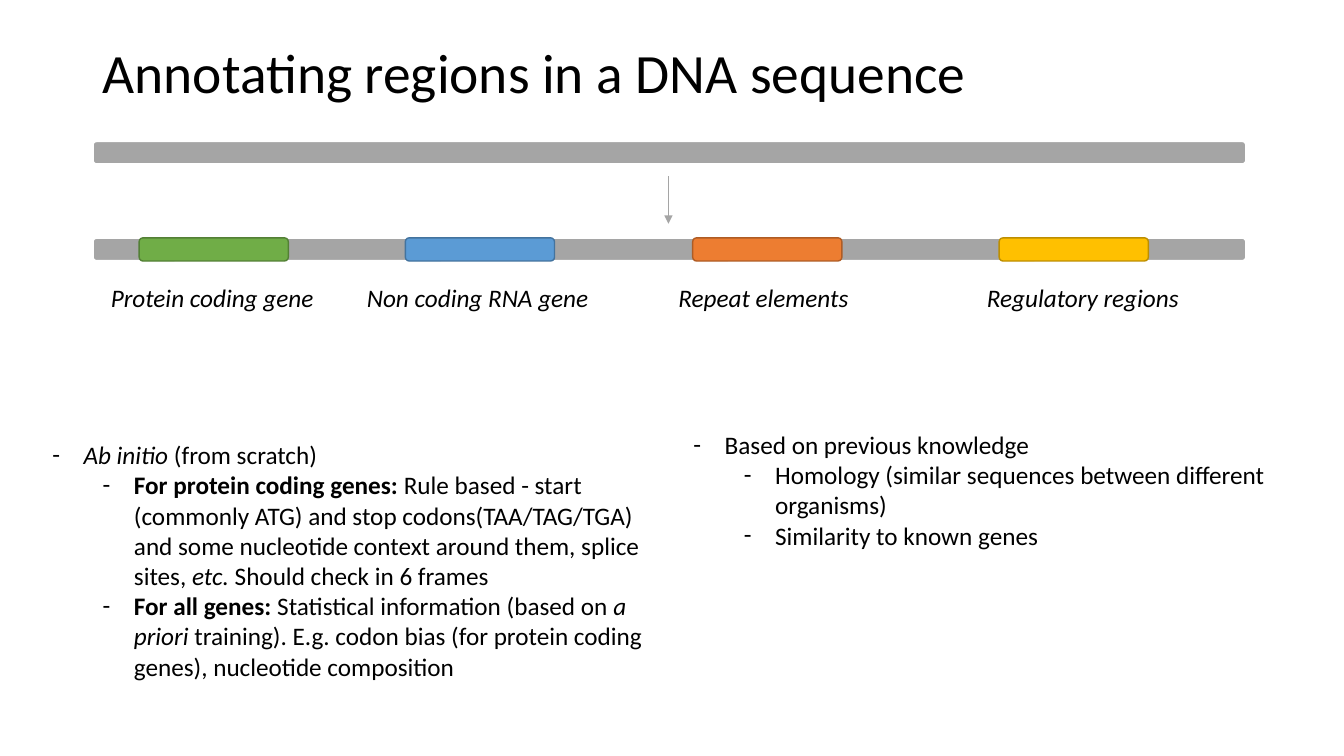
"""Build a slide on annotating regions in a DNA sequence."""
import pptx
import pptx.dml.color
import pptx.enum.shapes
import pptx.enum.text
import pptx.oxml.ns
import pptx.util
from pptx.util import Inches

THEME = {
    "font": "Calibri", "title_size": 39.6, "text_size": 18,
    "text": "000000", "strand": "A5A5A5", "edge": "FFFFFF",
}

TITLE = "Annotating regions in a DNA sequence"
REGIONS = [
    ("Protein coding gene", 1.38, "70AD47", "538035", 1.00, 2.25),
    ("Non coding RNA gene", 4.02, "5B9BD5", "43739E", 3.54, 2.43),
    ("Repeat elements", 6.87, "ED7D31", "AF5C24", 6.63, 1.93),
    ("Regulatory regions", 9.91, "FFC000", "BD8E00", 9.69, 2.12),
]
AB_INITIO = [
    (0, [("Ab initio ", "i"), ("(from scratch)", "")]),
    (1, [("For protein coding genes:", "b"),
         (" Rule based - start (commonly ATG) and stop codons(TAA/TAG/TGA) "
          "and some nucleotide context around them, splice sites, ", ""),
         ("etc. ", "i"), ("Should check in 6 frames", "")]),
    (1, [("For all genes: ", "b"), ("Statistical information (based on ", ""),
         ("a priori ", "i"),
         ("training). E.g. codon bias (for protein coding genes), "
          "nucleotide composition", "")]),
]
KNOWLEDGE = [
    (0, [("Based on previous knowledge", "")]),
    (1, [("Homology (similar sequences between different organisms)", "")]),
    (1, [("Similarity to known genes", "")]),
]

STRAND_LEFT, STRAND_WIDTH, BAR_HEIGHT = 0.92, 11.44, 0.23
PLAIN_TOP, ANNOTATED_TOP, LABEL_TOP = 1.4, 2.36, 2.75
REGION_WIDTH = 1.48
ARROW_X, ARROW_TOP, ARROW_BOTTOM = 6.63, 1.75, 2.22
HANG, LEVEL_STEP = 0.31, 0.5


def color(name):
    return pptx.dml.color.RGBColor.from_string(name)


def add_dash(para, level):
    para.level = level
    properties = para._p.get_or_add_pPr()
    properties.set("marL", str(Inches(HANG + LEVEL_STEP * level)))
    properties.set("indent", str(-Inches(HANG)))
    for tag, key, value in (("a:buFont", "typeface", THEME["font"]),
                            ("a:buChar", "char", "-")):
        element = pptx.oxml.parse_xml(f'<{tag} {pptx.oxml.ns.nsdecls("a")}/>')
        element.set(key, value)
        properties.append(element)


def add_text(page, paragraphs, left, top, width, height, size=THEME["text_size"],
             wrap=True, bullets=False, spacing=None,
             anchor=pptx.enum.text.MSO_ANCHOR.TOP):
    box = page.shapes.add_textbox(*map(Inches, (left, top, width, height)))
    frame = box.text_frame
    frame.word_wrap = wrap
    frame.vertical_anchor = anchor
    for index, (level, spans) in enumerate(paragraphs):
        para = frame.paragraphs[0] if index == 0 else frame.add_paragraph()
        if bullets:
            add_dash(para, level)
        if spacing:
            para.line_spacing = spacing
        for text, style in spans:
            span = para.add_run()
            span.text = text
            span.font.name = THEME["font"]
            span.font.size = pptx.util.Pt(size)
            span.font.color.rgb = color(THEME["text"])
            span.font.bold = style == "b"
            span.font.italic = style == "i"


def add_bar(page, left, top, width, fill, edge, weight):
    bar = page.shapes.add_shape(
        pptx.enum.shapes.MSO_SHAPE.ROUNDED_RECTANGLE,
        *map(Inches, (left, top, width, BAR_HEIGHT)))
    bar.shadow.inherit = False
    bar.fill.solid()
    bar.fill.fore_color.rgb = color(fill)
    bar.line.color.rgb = color(edge)
    bar.line.width = pptx.util.Pt(weight)


def add_arrow(page):
    arrow = page.shapes.add_connector(
        pptx.enum.shapes.MSO_CONNECTOR.STRAIGHT,
        *map(Inches, (ARROW_X, ARROW_TOP, ARROW_X, ARROW_BOTTOM)))
    arrow.line.color.rgb = color(THEME["strand"])
    arrow.line.width = pptx.util.Pt(0.5)
    namespace = pptx.oxml.ns.nsdecls("a")
    arrow.line._get_or_add_ln().append(
        pptx.oxml.parse_xml(f'<a:tailEnd {namespace} type="triangle"/>'))
    arrow._element.spPr.append(pptx.oxml.parse_xml(f"<a:effectLst {namespace}/>"))


def main():
    deck = pptx.Presentation()
    deck.slide_width, deck.slide_height = Inches(13.33), Inches(7.5)
    page = deck.slides.add_slide(deck.slide_layouts[6])

    add_text(page, [(0, [(TITLE, "")])], 0.92, 0.4, 10.22, 0.7,
             size=THEME["title_size"], spacing=0.9,
             anchor=pptx.enum.text.MSO_ANCHOR.MIDDLE)
    for top in (PLAIN_TOP, ANNOTATED_TOP):
        add_bar(page, STRAND_LEFT, top, STRAND_WIDTH,
                THEME["strand"], THEME["edge"], 1.5)
    add_arrow(page)
    for name, left, fill, edge, label_left, label_width in REGIONS:
        add_bar(page, left, ANNOTATED_TOP, REGION_WIDTH, fill, edge, 1)
        add_text(page, [(0, [(name, "i")])], label_left, LABEL_TOP,
                 label_width, 0.4, wrap=False)
    add_text(page, AB_INITIO, 0.42, 4.31, 6.12, 2.83, bullets=True)
    add_text(page, KNOWLEDGE, 6.78, 4.21, 6.5, 1.62, bullets=True)

    deck.save("out.pptx")


if __name__ == "__main__":
    main()
